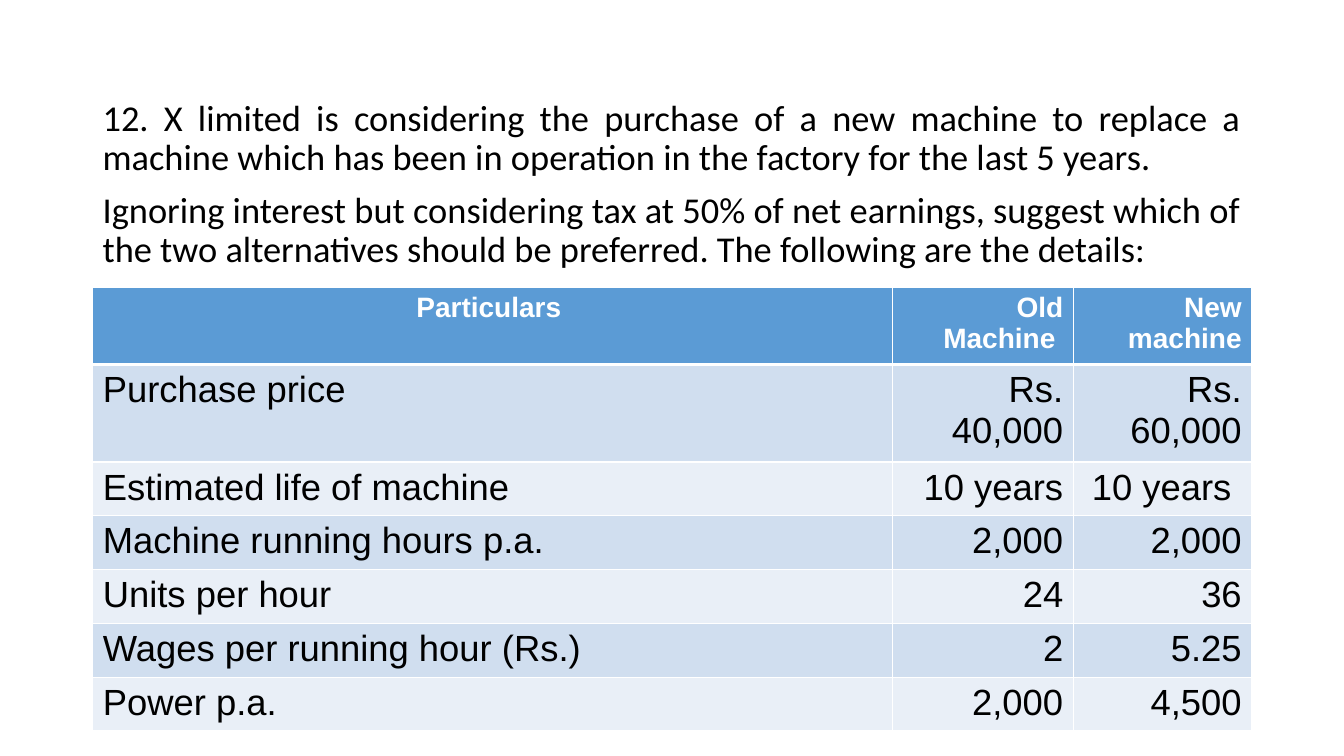
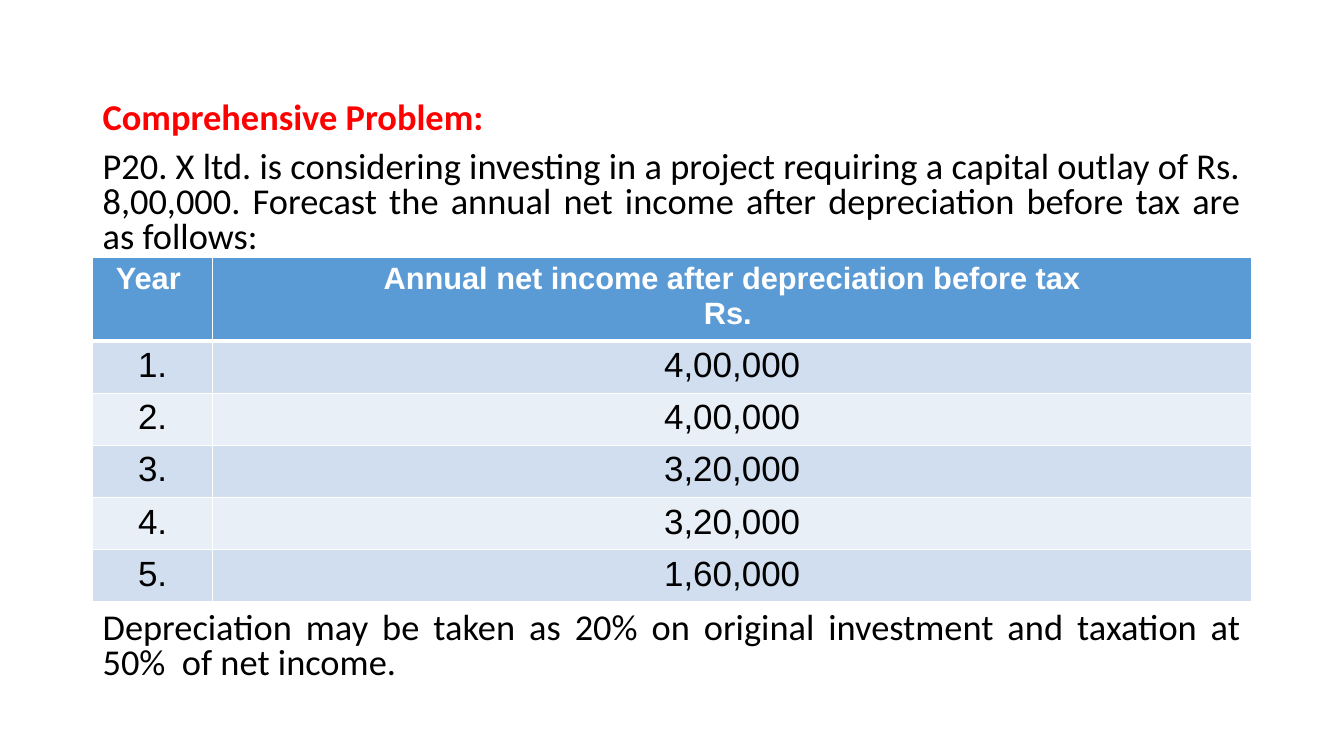
from lxml.etree import SubElement
from pptx import Presentation
from pptx.dml.color import RGBColor as RGB
from pptx.enum.text import PP_ALIGN as Align
from pptx.oxml.ns import qn
from pptx.util import Pt

# Colours
BLACK = RGB(0, 0, 0)
WHITE = RGB(255, 255, 255)
RED = RGB(255, 0, 0)
BLUE = RGB(0x5B, 0x9B, 0xD5)
BANDS = RGB(0xD0, 0xDE, 0xEF), RGB(0xE9, 0xEF, 0xF7)

# Shared page grid, in points
WIDE, HIGH = 960, 540
LEFT, SPAN = 66.24, 828

# Text formats
BODY = dict(name="Calibri", size=Pt(26), bold=False)
LEAD = dict(BODY, bold=True)
CELL = dict(name="Arial", bold=False)
HEAD = dict(CELL, bold=True)
JUST = dict(alignment=Align.JUSTIFY)
THIN, THICK = 1, 3


def style(item, form):
    for key, value in form.items():
        setattr(item, key, value)


def write(para, text, form, ink, lay):
    """Fill one paragraph."""
    para.text = text
    style(para, lay)
    style(para.font, form)
    para.font.color.rgb = ink


def prose(slide, box, lines, pitch):
    """Justified text; each line is (text, format, colour)."""
    frame = slide.shapes.add_textbox(*map(Pt, box)).text_frame
    frame.word_wrap = True
    for i, (text, form, ink) in enumerate(lines):
        para = frame.paragraphs[0] if i == 0 else frame.add_paragraph()
        lay = dict(JUST, line_spacing=pitch, space_before=Pt(10 if i else 0))
        write(para, text, form, ink, lay)


def rule(cell, top, base):
    """White cell borders; must come before the fill."""
    props = cell._tc.get_or_add_tcPr()
    for tag, width in zip(("lnL", "lnR", "lnT", "lnB"), (THIN, THIN, top, base)):
        line = SubElement(props, qn("a:" + tag), w=str(Pt(width)))
        fill = SubElement(line, qn("a:solidFill"))
        SubElement(fill, qn("a:srgbClr"), val=str(WHITE))


def grid(slide, top, cols, tall, rows, sizes, head_lay, cell_lay):
    """Banded table; tall and sizes hold (header, body) values."""
    heights = [tall[0]] + [tall[1]] * (len(rows) - 1)
    box = LEFT, top, sum(cols), sum(heights)
    table = slide.shapes.add_table(len(rows), len(cols), *map(Pt, box)).table
    for col, width in zip(table.columns, cols):
        col.width = Pt(width)
    for r, texts in enumerate(rows):
        table.rows[r].height = Pt(heights[r])
        first = r == 0
        form = dict(HEAD if first else CELL, size=Pt(sizes[0 if first else 1]))
        ink = WHITE if first else BLACK
        for c, text in enumerate(texts):
            cell = table.cell(r, c)
            rule(cell, THICK if r == 1 else THIN, THICK if first else THIN)
            cell.fill.solid()
            cell.fill.fore_color.rgb = BLUE if first else BANDS[(r - 1) % 2]
            frame = cell.text_frame
            lay = dict(alignment=(head_lay if first else cell_lay)[c])
            for i, part in enumerate(text.split("\n")):
                para = frame.paragraphs[0] if i == 0 else frame.add_paragraph()
                write(para, part, form, ink, lay)


def machines(slide):
    """Old and new machine compared."""
    prose(slide, (LEFT, 67.68, SPAN, 130), [
        ("12. X limited is considering the purchase of a new machine to replace "
         "a machine which has been in operation in the factory for the last "
         "5 years.", BODY, BLACK),
        ("Ignoring interest but considering tax at 50% of net earnings, suggest "
         "which of the two alternatives should be preferred. The following are "
         "the details:", BODY, BLACK),
    ], 0.9)
    rows = [
        ("Particulars ", "Old Machine ", "New machine"),
        ("Purchase price", "Rs. 40,000", "Rs. 60,000"),
        ("Estimated life of machine", "10 years", "10 years "),
        ("Machine running hours p.a.", "2,000", "2,000"),
        ("Units per hour", "24", "36"),
        ("Wages per running hour (Rs.)", "2", "5.25"),
        ("Power p.a.", "2,000", "4,500"),
    ]
    grid(slide, 205.2, (571.5, 129, 127.5), (27.36, 27.36), rows, (20, 26),
         (Align.CENTER, Align.RIGHT, Align.RIGHT),
         (Align.LEFT, Align.RIGHT, Align.RIGHT))


def project(slide):
    """Yearly income of the project."""
    prose(slide, (LEFT, 69.84, SPAN, 114), [
        ("Comprehensive Problem:", LEAD, RED),
        ("P20. X ltd. is considering investing in a project requiring a capital "
         "outlay of Rs. 8,00,000. Forecast the annual net income after "
         "depreciation before tax are as follows:", BODY, BLACK),
    ], 0.8)
    sums = "4,00,000", "4,00,000", "3,20,000", "3,20,000", "1,60,000"
    rows = [("Year ", "Annual net income after depreciation before tax\nRs. ")]
    rows += [(f"{year}.", total) for year, total in enumerate(sums, 1)]
    mid = (Align.CENTER,) * 2
    grid(slide, 183.6, (85.5, 742.5), (59.5, 35), rows, (22, 25), mid, mid)
    prose(slide, (LEFT, 434, SPAN, 60), [
        ("Depreciation may be taken as 20% on original investment and taxation "
         "at 50%  of net income.", BODY, BLACK),
    ], 0.8)


def main():
    deck = Presentation()
    style(deck, dict(slide_width=Pt(WIDE), slide_height=Pt(HIGH)))
    for build in (machines, project):
        build(deck.slides.add_slide(deck.slide_layouts[6]))
    deck.save("out.pptx")


if __name__ == "__main__":
    main()
